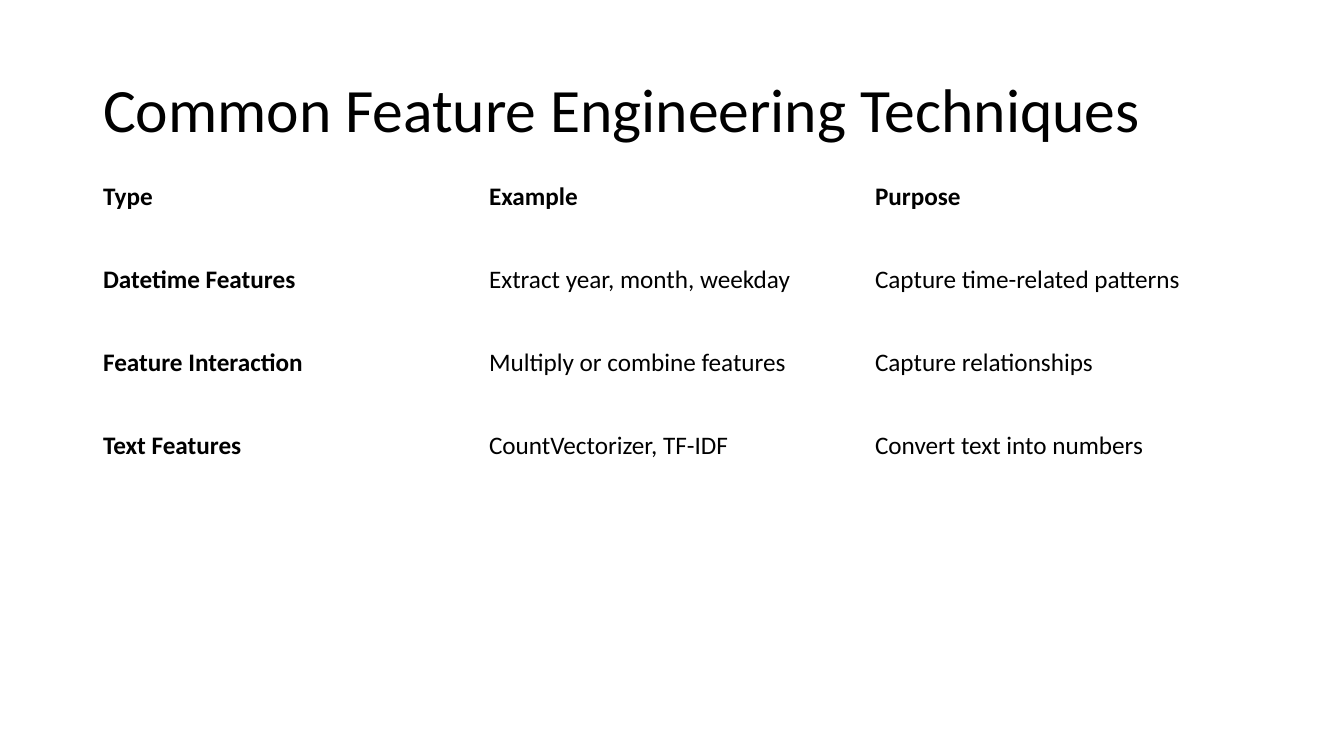
import pptx
import pptx.util
import pptx.dml.color
import pptx.enum.text

PX = 914400 / 100.8
COLORS = {"text": "000000"}
FONT = "Calibri"
LEFT, COL_W, ROW_H = 93, 386, 83
ROWS = [
    ("Type", "Example", "Purpose"),
    ("Datetime Features", "Extract year, month, weekday", "Capture time-related patterns"),
    ("Feature Interaction", "Multiply or combine features", "Capture relationships"),
    ("Text Features", "CountVectorizer, TF-IDF", "Convert text into numbers"),
]


def px(n):
    return pptx.util.Emu(round(n * PX))


def add_run(p, text, size, bold=False):
    r = p.add_run()
    r.text = text
    r.font.name = FONT
    r.font.size = pptx.util.Pt(size)
    r.font.bold = bold
    r.font.color.rgb = pptx.dml.color.RGBColor.from_string(COLORS["text"])


prs = pptx.Presentation()
prs.slide_width, prs.slide_height = px(1344), px(756)
s = prs.slides.add_slide(prs.slide_layouts[5])

title = s.shapes.title
title.left, title.top, title.width, title.height = px(LEFT), px(40), px(1159), px(146)
tf = title.text_frame
tf.word_wrap = True
tf.vertical_anchor = pptx.enum.text.MSO_ANCHOR.MIDDLE
p = tf.paragraphs[0]
p.alignment = pptx.enum.text.PP_ALIGN.LEFT
p.line_spacing = 0.9
add_run(p, "Common Feature Engineering Techniques", 44)

n_rows, n_cols = len(ROWS), len(ROWS[0])
table = s.shapes.add_table(
    n_rows, n_cols, px(LEFT), px(155), px(n_cols * COL_W), px(n_rows * ROW_H)
).table
table.first_row = False
table.horz_banding = False
for i, row in enumerate(ROWS):
    for j, text in enumerate(row):
        cell = table.cell(i, j)
        cell.fill.background()
        cell.vertical_anchor = pptx.enum.text.MSO_ANCHOR.MIDDLE
        add_run(cell.text_frame.paragraphs[0], text, 18, bold=i == 0 or j == 0)

prs.save("out.pptx")
